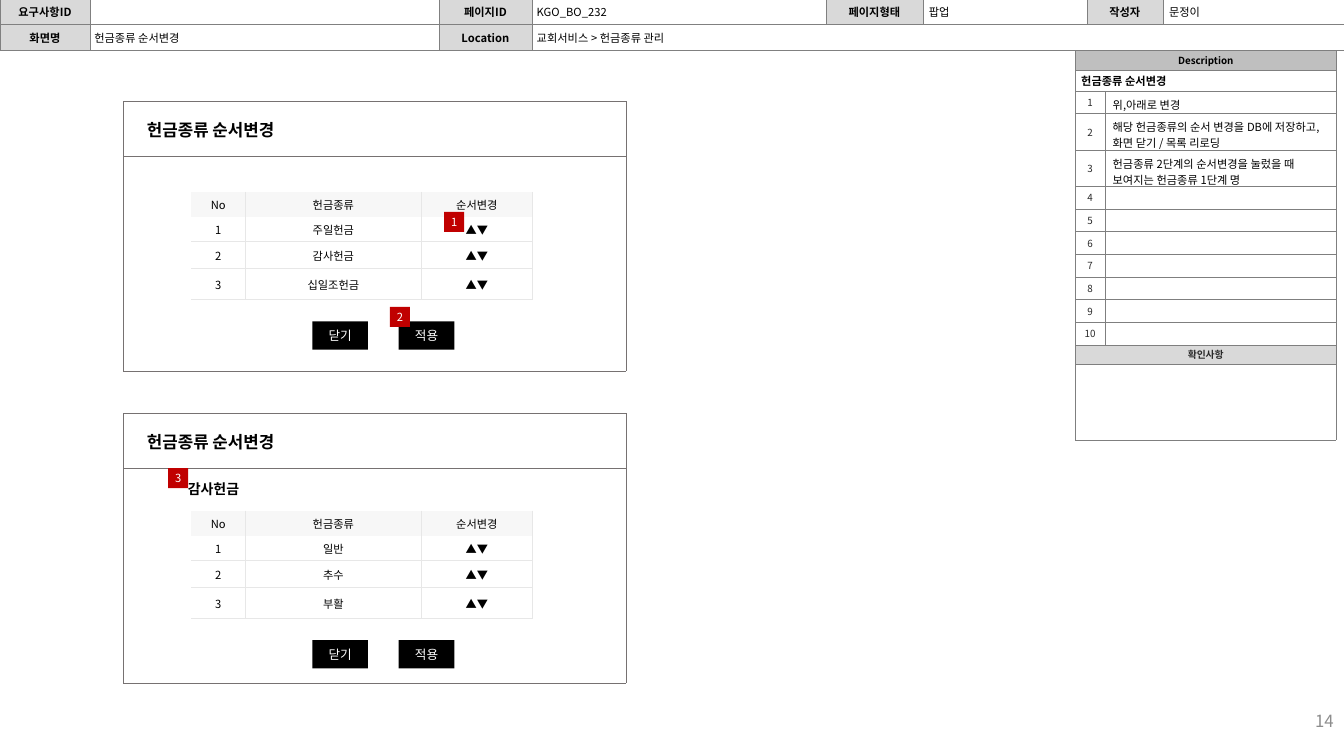
from lxml import etree
from pptx import Presentation
from pptx.dml.color import RGBColor
from pptx.enum.shapes import MSO_SHAPE
from pptx.enum.text import MSO_ANCHOR, PP_ALIGN
from pptx.oxml.ns import qn
from pptx.util import Pt

LEFT, CENTER, RIGHT = PP_ALIGN.LEFT, PP_ALIGN.CENTER, PP_ALIGN.RIGHT
TOP, MIDDLE = MSO_ANCHOR.TOP, MSO_ANCHOR.MIDDLE
RECTANGLE = MSO_SHAPE.RECTANGLE
FONT = "Noto Sans CJK KR"
PLAIN_TABLE = "{2D5ABB26-0587-4C30-8999-92F81FD0307C}"
ALL_SIDES = "LRTB"
POPUP_TITLE = "헌금종류 순서변경"


def color(code):
    return RGBColor.from_string(code)


def set_values(target, values):
    for name, value in values.items():
        setattr(target, name, value)


def write(holder, frame, text, size=8, ink="000000", bold=False,
          align=LEFT, anchor=MIDDLE, insets=(0, 0, 0, 0)):
    """Put one paragraph in a cell or shape; holder owns insets and anchor."""
    left, top, right, bottom = insets
    set_values(holder, {"margin_left": Pt(left), "margin_top": Pt(top),
                        "margin_right": Pt(right), "margin_bottom": Pt(bottom),
                        "vertical_anchor": anchor})
    para = frame.paragraphs[0]
    para.alignment = align
    if not text:
        # A small end mark keeps empty rows from growing
        etree.SubElement(para._p, qn("a:endParaRPr")).set("sz", str(size * 100))
        return
    span = para.add_run()
    span.text = text
    set_values(span.font, {"size": Pt(size), "bold": bold, "name": FONT})
    span.font.color.rgb = color(ink)
    etree.SubElement(span._r.get_or_add_rPr(), qn("a:ea")).set("typeface", FONT)


def add_text(page, text, left, top, width, height, **style):
    box = page.shapes.add_textbox(Pt(left), Pt(top), Pt(width), Pt(height))
    box.text_frame.word_wrap = True
    write(box.text_frame, box.text_frame, text, **style)


def add_block(page, text, left, top, width, height, fill, size):
    box = page.shapes.add_shape(RECTANGLE, Pt(left), Pt(top), Pt(width), Pt(height))
    box.shadow.inherit = False
    box.fill.solid()
    box.fill.fore_color.rgb = color(fill)
    box.line.fill.background()
    write(box.text_frame, box.text_frame, text, size=size, ink="FFFFFF", align=CENTER)


def add_badge(page, number, left, top):
    add_block(page, str(number), left, top, 14.3, 14.3, "C00000", 8)


def add_grid(page, left, top, widths, heights):
    frame = page.shapes.add_table(len(heights), len(widths), Pt(left), Pt(top),
                                  Pt(sum(widths)), Pt(sum(heights)))
    grid = frame.table
    set_values(grid, {"first_row": False, "horz_banding": False})
    grid._tbl.tblPr.find(qn("a:tableStyleId")).text = PLAIN_TABLE
    for column, width in zip(grid.columns, widths):
        column.width = Pt(width)
    for row, height in zip(grid.rows, heights):
        row.height = Pt(height)
    return grid


def style_cell(cell, text="", fill=None, line="808080", weight=0.25,
               sides=ALL_SIDES, **style):
    properties = cell._tc.get_or_add_tcPr()
    for side in ALL_SIDES:
        edge = etree.SubElement(properties, qn(f"a:ln{side}"))
        if side in sides:
            edge.set("w", str(Pt(weight)))
            paint = etree.SubElement(edge, qn("a:solidFill"))
            etree.SubElement(paint, qn("a:srgbClr")).set("val", line)
        else:
            edge.set("w", "0")
            etree.SubElement(edge, qn("a:noFill"))
    if fill:
        cell.fill.solid()
        cell.fill.fore_color.rgb = color(fill)
    else:
        cell.fill.background()
    write(cell, cell.text_frame, text, **style)


def add_header(page):
    widths = (64.3, 249.3, 66.4, 210, 69.3, 117.1, 54.3, 130.3)
    labels = (("요구사항ID", "", "페이지ID", "", "페이지형태", "", "작성자", ""),
              ("화면명", "", "Location", "", "", "", "", ""))
    grid = add_grid(page, 0, -0.7, widths, (18.3, 18.3))
    grid.cell(1, 3).merge(grid.cell(1, 7))
    for r, row in enumerate(labels):
        for c, label in enumerate(row):
            style_cell(grid.cell(r, c), label, "D9D9D9" if label else None,
                       bold=True, align=CENTER)
    # Values beside the labels
    for text, left, top, width in (
            ("KGO_BO_232", 380.6, 0, 210), ("팝업", 660.6, 0, 118),
            ("교회서비스 > 헌금종류 관리", 380.6, 18.5, 579),
            ("문정이", 832.3, 0, 127.5), (POPUP_TITLE, 64.6, 18.5, 246)):
        add_text(page, text, left, top, width, 17, insets=(2.8, 0, 0, 0))


def add_description(page):
    notes = ("위,아래로 변경",
             "해당 헌금종류의 순서 변경을 DB에 저장하고, 화면 닫기 / 목록 리로딩",
             "헌금종류 2단계의 순서변경을 눌렀을 때 보여지는 헌금종류 1단계 명")
    heights = [14.3, 15, 15.7, 26.4, 25.7] + [16.2] * 7 + [13.6, 54.3]
    grid = add_grid(page, 768.3, 36, (20.8, 165.2), heights)
    line = {"line": "7F7F7F"}
    # Rows across both columns
    for r, text, style in (
            (0, "Description", {"fill": "BFBFBF", "size": 7, "align": CENTER}),
            (1, POPUP_TITLE, {"insets": (4, 0, 4, 0)}),
            (12, "확인사항", {"fill": "D9D9D9", "size": 7, "align": CENTER,
                          "ink": "292929"}),
            (13, "", {})):
        grid.cell(r, 0).merge(grid.cell(r, 1))
        style_cell(grid.cell(r, 0), text, bold=True, **style, **line)
        style_cell(grid.cell(r, 1), size=7, **line)
    # Numbered notes
    for number in range(1, 11):
        note = notes[number - 1] if number <= len(notes) else ""
        style_cell(grid.cell(number + 1, 0), str(number), size=7, ink="292929",
                   align=CENTER, **line)
        style_cell(grid.cell(number + 1, 1), note, anchor=TOP,
                   insets=(5.7, 3.6, 5.7, 0), **line)


def add_popup(page, top, list_top, names):
    # Frame and title
    frame = add_grid(page, 88.2, top, (358.9,), (39.3, 153.6))
    for r in range(2):
        style_cell(frame.cell(r, 0), line="767171")
    add_text(page, POPUP_TITLE, 97.9, top + 9.6, 158, 21.8, size=12, bold=True,
             anchor=TOP, insets=(7.2, 3.6, 7.2, 3.6))
    # List
    rows = [("No", "헌금종류", "순서변경")]
    rows += [(str(n), name, "▲▼") for n, name in enumerate(names, 1)]
    grid = add_grid(page, 136.5, list_top, (38.9, 125.6, 79.4), (17.9, 17.9, 19.3, 22.1))
    for r, row in enumerate(rows):
        for c, text in enumerate(row):
            sides = ("L" if c else "") + "R" + ("B" if r else "") + ("T" if r > 1 else "")
            style_cell(grid.cell(r, c), text, None if r else "F7F7F7", "E7E7E7",
                       0.75, sides, align=CENTER)
    # Buttons
    for n, label in enumerate(("닫기", "적용")):
        add_block(page, label, 223.1 + 61.7 * n, list_top + 92.6, 39.7, 20.2, "000000", 9)


def main():
    deck = Presentation()
    set_values(deck, {"slide_width": Pt(960), "slide_height": Pt(540)})
    page = deck.slides.add_slide(deck.slide_layouts[6])
    add_header(page)
    add_text(page, "14", 743.8, 500.4, 216, 28.8, size=12, ink="8C8C8C",
             align=RIGHT, insets=(7.2, 3.6, 7.2, 3.6))
    add_description(page)
    add_popup(page, 72.3, 137, ("주일헌금", "감사헌금", "십일조헌금"))
    add_popup(page, 295.2, 364.7, ("일반", "추수", "부활"))
    add_text(page, "감사헌금", 127.1, 339.8, 158, 19.4, size=10, bold=True,
             anchor=TOP, insets=(7.2, 3.6, 7.2, 3.6))
    for number, (left, top) in enumerate(((317.3, 151.4), (278.6, 219.3),
                                          (120.2, 334.5)), 1):
        add_badge(page, number, left, top)
    deck.save("out.pptx")


if __name__ == "__main__":
    main()
